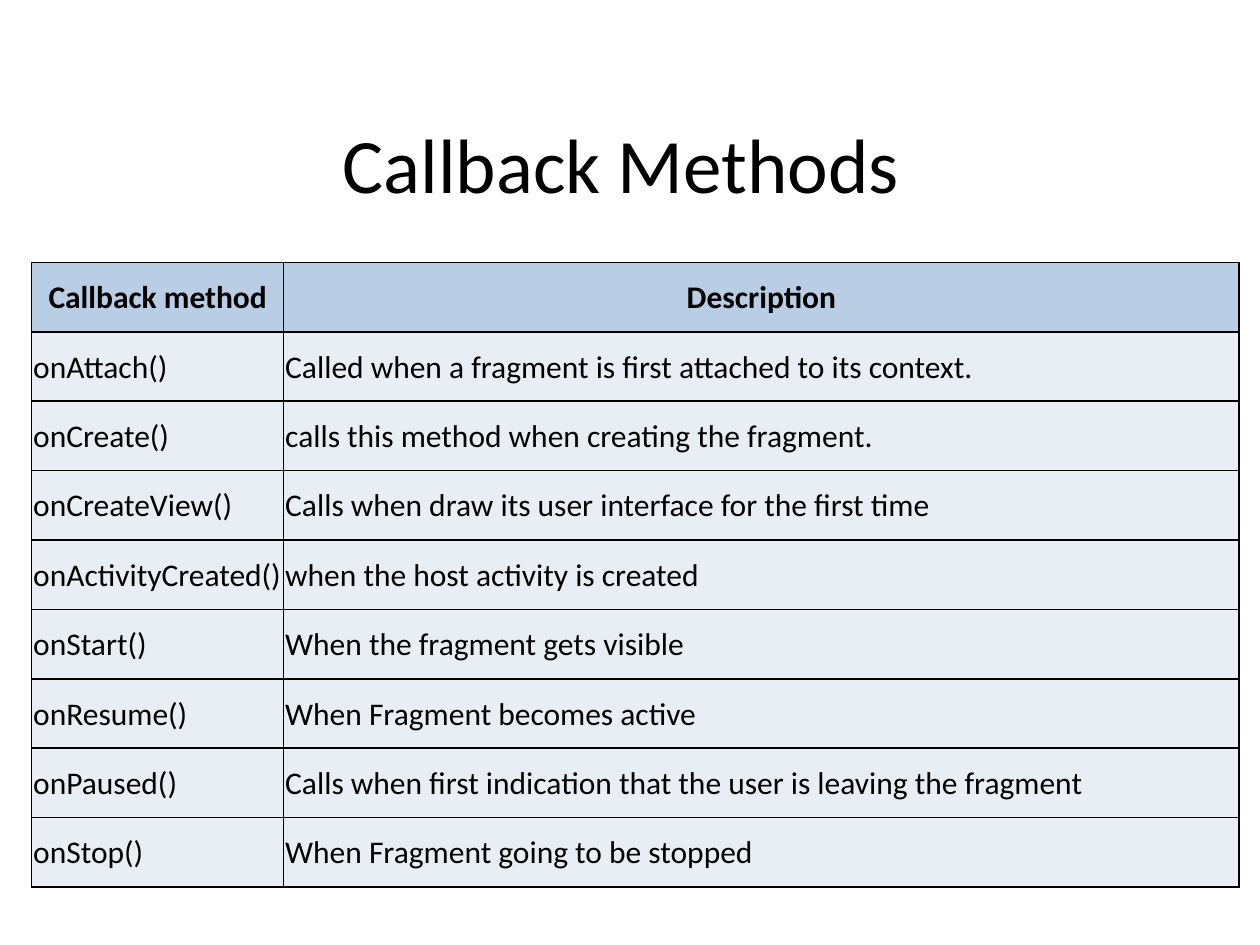
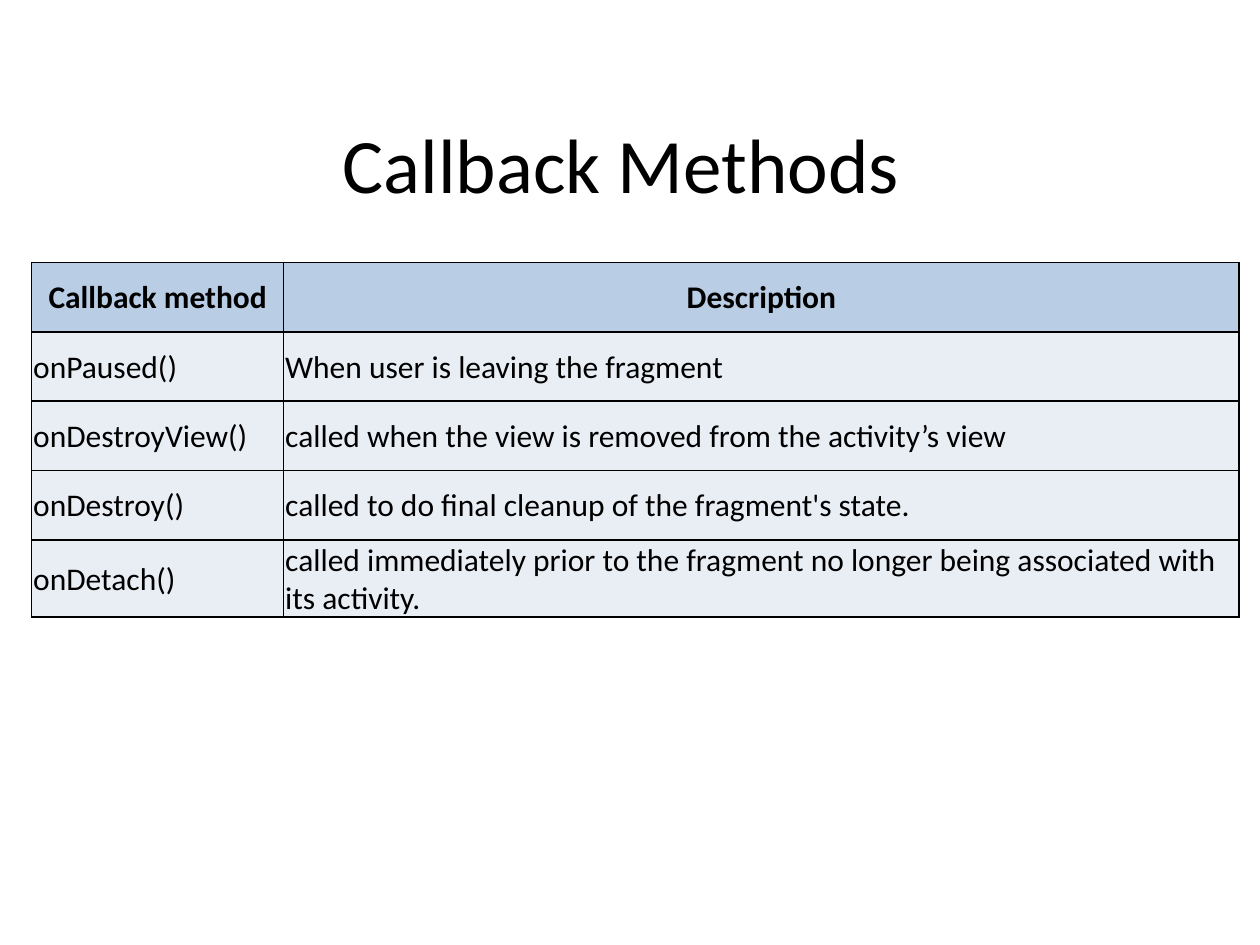
from dataclasses import dataclass

from lxml import etree
from pptx import Presentation
from pptx.dml.color import RGBColor
from pptx.enum.text import MSO_ANCHOR, PP_ALIGN
from pptx.oxml.ns import qn
from pptx.util import Cm, Pt

CENTER, LEFT = PP_ALIGN.CENTER, PP_ALIGN.LEFT
MIDDLE = MSO_ANCHOR.MIDDLE

FONT = "Calibri"
BLACK = "000000"
HEADER_FILL = "B9CDE5"
BODY_FILL = "E9EDF4"

TITLE = "Callback Methods "
HEADERS = ("Callback method", "Description")
COLUMN_WIDTHS = (Cm(5.08), Cm(19.26))
ROW_HEIGHT = Cm(1.4)
CELL_INSET = Cm(0.03)
BORDER_WIDTH = Pt(1)


@dataclass(frozen=True)
class Callback:
    method: str
    description: str


SLIDES = (
    (
        Callback("onAttach()", "Called when a fragment is first attached to its context."),
        Callback("onCreate()", "calls this method when creating the fragment."),
        Callback("onCreateView()", "Calls when draw its user interface for the first time"),
        Callback("onActivityCreated()", "when the host activity is created"),
        Callback("onStart()", "When the fragment gets visible"),
        Callback("onResume()", "When Fragment becomes active"),
        Callback("onPaused()", "Calls when first indication that the user is leaving the fragment"),
        Callback("onStop()", "When Fragment going to be stopped"),
    ),
    (
        Callback("onPaused()", "When user is leaving the fragment"),
        Callback("onDestroyView()", "called when the view is removed from the activity’s view"),
        Callback("onDestroy()", "called to do final cleanup of the fragment's state."),
        Callback(
            "onDetach()",
            "called immediately prior to the fragment no longer being associated with its activity.",
        ),
    ),
)


def rgb(value: str) -> RGBColor:
    return RGBColor.from_string(value)


def write(tf, text: str, size: int, align, bold: bool = False) -> None:
    tf.word_wrap = True
    p = tf.paragraphs[0]
    p.alignment = align
    r = p.add_run()
    r.text = text
    r.font.name = FONT
    r.font.size = Pt(size)
    r.font.bold = bold
    r.font.color.rgb = rgb(BLACK)


def add_borders(cell) -> None:
    """Line all four sides; must run before the cell is filled."""
    properties = cell._tc.get_or_add_tcPr()
    for side in ("lnL", "lnR", "lnT", "lnB"):
        line = etree.SubElement(properties, qn(f"a:{side}"), w=str(BORDER_WIDTH))
        fill = etree.SubElement(line, qn("a:solidFill"))
        etree.SubElement(fill, qn("a:srgbClr"), val=BLACK)


def fill_cell(cell, text: str, is_header: bool) -> None:
    cell.margin_left = cell.margin_right = cell.margin_top = CELL_INSET
    cell.margin_bottom = 0
    cell.vertical_anchor = MIDDLE
    add_borders(cell)
    cell.fill.solid()
    cell.fill.fore_color.rgb = rgb(HEADER_FILL if is_header else BODY_FILL)
    write(cell.text_frame, text, 18, CENTER if is_header else LEFT, is_header)


def add_title(s) -> None:
    tf = s.shapes.add_textbox(Cm(1.27), Cm(1.69), Cm(22.86), Cm(3.18)).text_frame
    tf.vertical_anchor = MIDDLE
    write(tf, TITLE, 44, CENTER)


def add_callback_table(s, callbacks: tuple[Callback, ...]) -> None:
    rows = [HEADERS] + [(c.method, c.description) for c in callbacks]
    table = s.shapes.add_table(
        len(rows), len(HEADERS), Cm(0.64), Cm(5.29),
        sum(COLUMN_WIDTHS), ROW_HEIGHT * len(rows),
    ).table
    for column, width in zip(table.columns, COLUMN_WIDTHS):
        column.width = width
    for i, texts in enumerate(rows):
        table.rows[i].height = ROW_HEIGHT
        for j, text in enumerate(texts):
            fill_cell(table.cell(i, j), text, is_header=i == 0)


def main() -> None:
    prs = Presentation()
    prs.slide_width, prs.slide_height = Cm(25.4), Cm(19.05)
    for callbacks in SLIDES:
        s = prs.slides.add_slide(prs.slide_layouts[6])
        add_title(s)
        add_callback_table(s, callbacks)
    prs.save("out.pptx")


if __name__ == "__main__":
    main()
